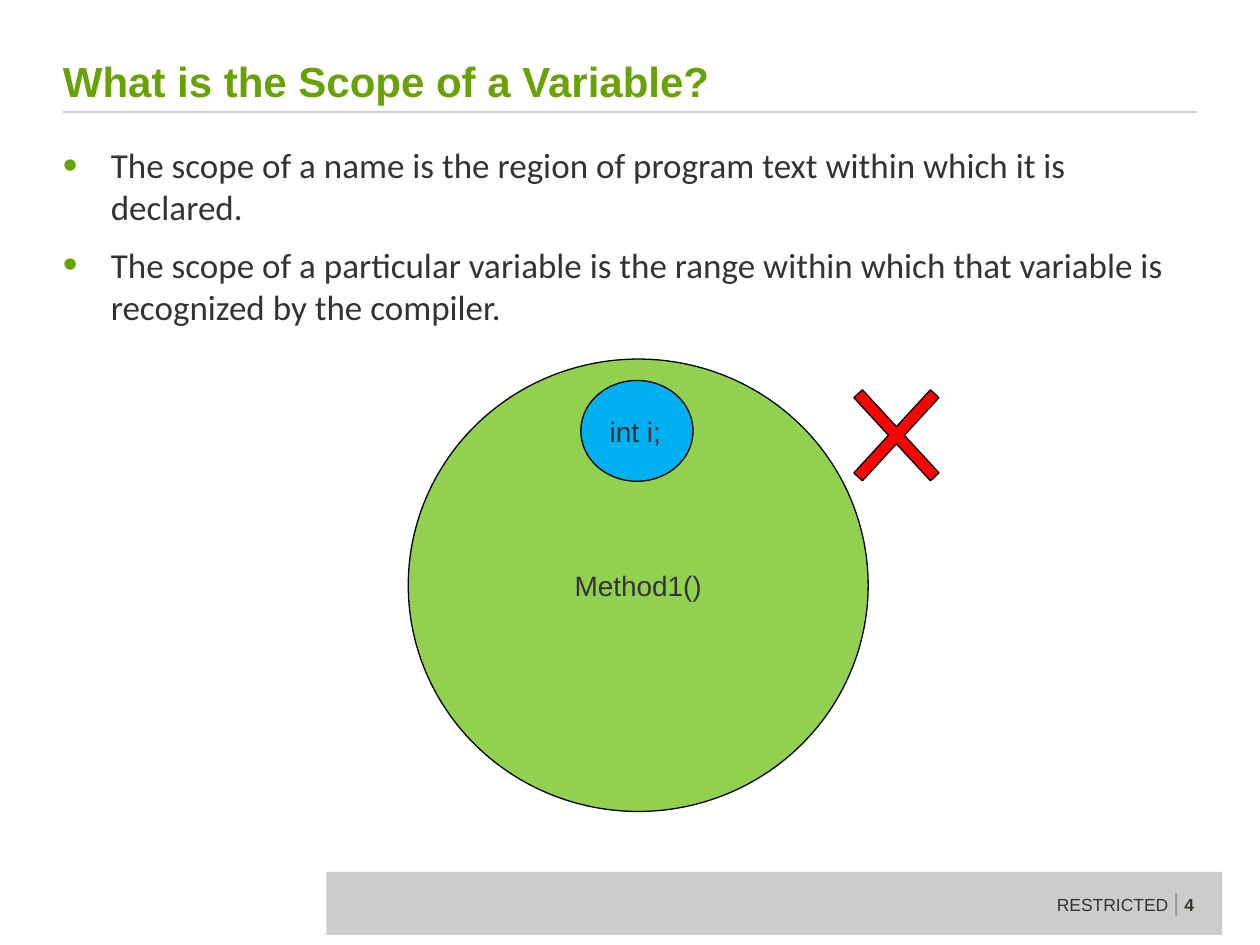
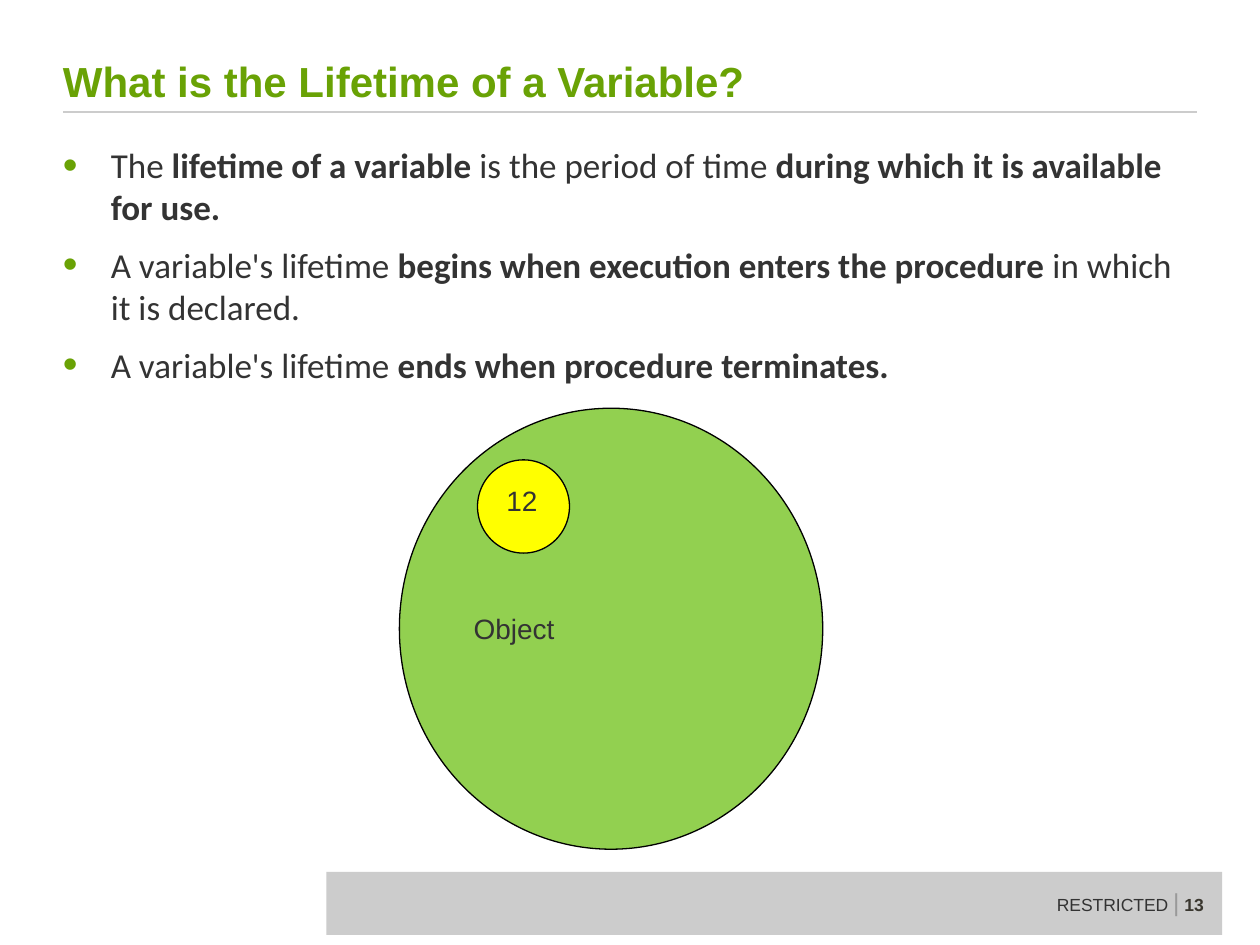
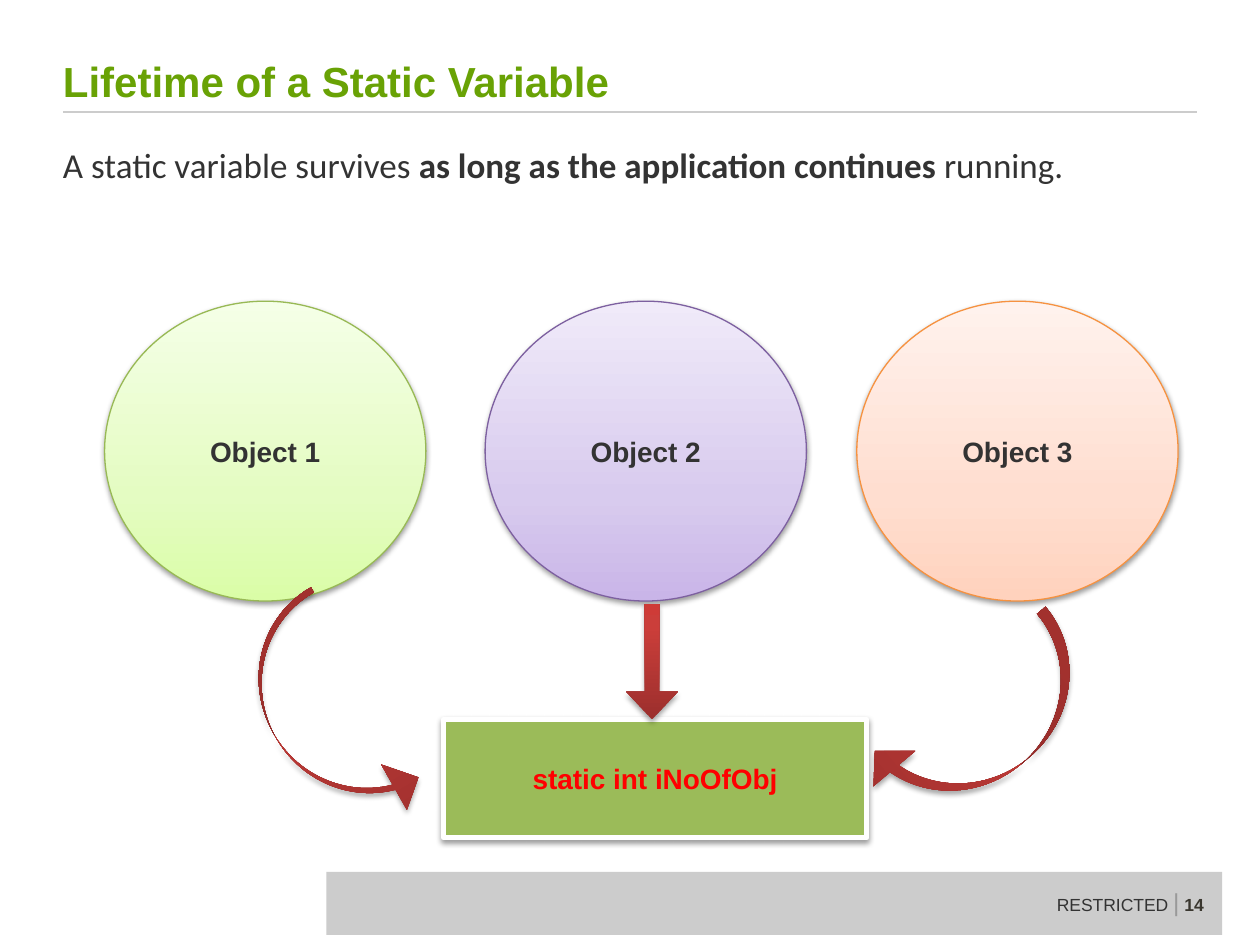
from lxml import etree
from pptx import Presentation
from pptx.dml.color import RGBColor
from pptx.enum.shapes import MSO_CONNECTOR, MSO_SHAPE
from pptx.enum.text import MSO_ANCHOR, PP_ALIGN
from pptx.oxml.ns import qn
from pptx.util import Inches, Pt

LEFT, CENTER = PP_ALIGN.LEFT, PP_ALIGN.CENTER
TOP, MIDDLE, BOTTOM = MSO_ANCHOR.TOP, MSO_ANCHOR.MIDDLE, MSO_ANCHOR.BOTTOM
STRAIGHT = MSO_CONNECTOR.STRAIGHT
ELLIPSE, RECTANGLE = MSO_SHAPE.OVAL, MSO_SHAPE.RECTANGLE
CROSS, DOWN_ARROW = MSO_SHAPE.MATH_MULTIPLY, MSO_SHAPE.DOWN_ARROW
RIGHT_CURVE = MSO_SHAPE.CURVED_RIGHT_ARROW
LEFT_CURVE = MSO_SHAPE.CURVED_LEFT_ARROW

COLORS = {
    "title": "69A205", "text": "333333", "band": "CCCCCC", "divider": "999999",
    "number": "3A372F", "black": "000000", "white": "FFFFFF", "red": "FF0000",
    "scope": "92D050", "variable": "00B0F0", "value": "FFFF00", "static": "9BBB59",
    "green edge": "98B955", "purple edge": "7D60A0", "orange edge": "F69240",
}
GRADIENTS = {
    "green": [(0, "DAFDA7"), (35, "E4FCC2"), (100, "F5FFE7")],
    "purple": [(0, "C9B5E8"), (35, "D8CBEE"), (100, "F0EAF9")],
    "orange": [(0, "FFD2BD"), (35, "FFDED0"), (100, "FFF2ED")],
    "arrow": [(0, "9C2F2D"), (80, "CB3E3A"), (100, "CE3B37")],
}

SCOPE = {
    "number": 4,
    "title": "What is the Scope of a Variable?",
    "bulleted": True,
    "body": [
        [("The scope of a name is the region of program text within which it is declared.", False)],
        [("The scope of a particular variable is the range within which that variable is "
          "recognized by the compiler.", False)],
    ],
}
LIFETIME = {
    "number": 13,
    "title": "What is the Lifetime of a Variable?",
    "bulleted": True,
    "body": [
        [("The ", False), ("lifetime of a variable ", True), ("is the period of time ", False),
         ("during which it is available for use.", True)],
        [("A variable's lifetime ", False),
         ("begins when execution enters the procedure ", True),
         ("in which it is declared.", False)],
        [("A variable's lifetime ", False), ("ends when procedure terminates.", True)],
    ],
}
STATIC = {
    "number": 14,
    "title": "Lifetime of a Static Variable",
    "bulleted": False,
    "body": [
        [("A static variable survives ", False),
         ("as long as the application continues ", True), ("running.", False)],
    ],
}
OBJECTS = [
    ("Object 1", 0.83, "green"),
    ("Object 2", 3.85, "purple"),
    ("Object 3", 6.8, "orange"),
]
ARROWS = [
    (RIGHT_CURVE, (2.17, 4.74, 0.83, 1.94), 330.5, (0.056, 0.5, 0.25)),
    (LEFT_CURVE, (7.39, 4.78, 0.83, 1.99), 49.8, (0.106, 0.523, 0.25)),
    (DOWN_ARROW, (4.97, 4.79, 0.41, 0.92), 0, (0.278, 0.537)),
]


def color(name):
    return RGBColor.from_string(COLORS[name])


def child(parent, tag, **attributes):
    return etree.SubElement(parent, qn(tag), attributes)


def add_span(para, text, size, ink="text", bold=False, font="Arial"):
    span = para.add_run()
    span.text = text
    span.font.name, span.font.size, span.font.bold = font, Pt(size), bold
    span.font.color.rgb = color(ink)


def add_box(page, place, insets=(0.1, 0.05, 0.1, 0.05), anchor=TOP):
    frame = page.shapes.add_textbox(*map(Inches, place)).text_frame
    frame.word_wrap = True
    frame.vertical_anchor = anchor
    (frame.margin_left, frame.margin_top,
     frame.margin_right, frame.margin_bottom) = map(Inches, insets)
    return frame


def add_figure(page, kind, place, fill, edge=None, edge_width=0.75):
    figure = page.shapes.add_shape(kind, *map(Inches, place))
    figure.shadow.inherit = False
    if fill in GRADIENTS:
        figure.fill.gradient()
        figure.fill.gradient_angle = 90
        stops = figure.fill._fill._gradFill.find(qn("a:gsLst"))
        for stop in list(stops):
            stops.remove(stop)
        for percent, tone in GRADIENTS[fill]:
            stop = child(stops, "a:gs", pos=str(percent * 1000))
            child(stop, "a:srgbClr", val=tone)
    else:
        figure.fill.solid()
        figure.fill.fore_color.rgb = color(fill)
    if edge:
        figure.line.color.rgb = color(edge)
        figure.line.width = Pt(edge_width)
    else:
        figure.line.fill.background()
    return figure


def add_label(figure, text, align=CENTER, ink="text", bold=False):
    frame = figure.text_frame
    frame.word_wrap = False
    frame.vertical_anchor = MIDDLE
    para = frame.paragraphs[0]
    para.alignment = align
    add_span(para, text, 16, ink, bold)


def add_shadow(figure, distance=1.6, opacity=38):
    effects = figure._element.spPr.find(qn("a:effectLst"))
    shadow = child(effects, "a:outerShdw", blurRad=str(Pt(3.1)), dist=str(Pt(distance)),
                   dir="5400000", rotWithShape="0")
    tone = child(shadow, "a:srgbClr", val=COLORS["black"])
    child(tone, "a:alpha", val=str(opacity * 1000))


def add_body(page, content):
    frame = add_box(page, (0.5, 1.14, 9, 5.56), (0, 0, 0, 0))
    for index, parts in enumerate(content["body"]):
        para = frame.add_paragraph() if index else frame.paragraphs[0]
        para.space_before, para.space_after = Pt(5), Pt(4)
        for text, bold in parts:
            add_span(para, text, 20, bold=bold, font="Calibri")
        properties = para._p.get_or_add_pPr()
        properties.set("marL", str(Inches(0.38)))
        properties.set("indent", str(Inches(-0.38)))
        if content["bulleted"]:
            child(child(properties, "a:buClr"), "a:srgbClr", val=COLORS["title"])
            child(properties, "a:buSzPct", val="120000")
            child(properties, "a:buFont", typeface="Arial")
            child(properties, "a:buChar", char="•")


def add_page(deck, content):
    page = deck.slides.add_slide(deck.slide_layouts[6])
    rule = page.shapes.add_connector(STRAIGHT, *map(Inches, (0.5, 0.89, 9.5, 0.89)))
    rule.line.color.rgb = color("band")
    rule.line.width = Pt(1.5)
    child(rule._element.spPr, "a:effectLst")

    add_figure(page, RECTANGLE, (2.59, 6.92, 7.11, 0.5), "band")
    footer = add_box(page, (8.29, 6.99, 1.4, 0.34)).paragraphs[0]
    add_span(footer, "RESTRICTED ", 10)
    add_span(footer, "|", 14, "divider")
    add_span(footer, f" {content['number']}", 10, "number", True)

    title = add_box(page, (0.5, 0.02, 9, 0.87), (0, 0, 0, 0.05), BOTTOM)
    add_span(title.paragraphs[0], content["title"], 24, "title", True)
    add_body(page, content)
    return page


def draw_scope(page):
    method = add_figure(page, ELLIPSE, (3.24, 2.85, 3.65, 3.59), "scope", "black")
    add_label(method, "Method1()")
    variable = add_figure(page, ELLIPSE, (4.61, 3.02, 0.89, 0.8), "variable", "black")
    add_label(variable, "int i;", LEFT)
    cross = add_figure(page, CROSS, (6.53, 2.82, 1.17, 1.27), "red", "black")
    cross.adjustments[0] = 0.079


def draw_lifetime(page):
    owner = add_figure(page, ELLIPSE, (3.17, 3.24, 3.36, 3.5), "scope", "black")
    add_label(owner, "Object", LEFT)
    add_figure(page, ELLIPSE, (3.79, 3.65, 0.73, 0.74), "value", "black")
    value = add_box(page, (3.92, 3.79, 0.52, 0.37))
    add_span(value.paragraphs[0], "12", 16)


def draw_static(page):
    for name, left, tone in OBJECTS:
        owner = add_figure(page, ELLIPSE, (left, 2.39, 2.55, 2.38), tone, f"{tone} edge")
        add_label(owner, name, bold=True)
        add_shadow(owner)
    shared = add_figure(page, RECTANGLE, (3.52, 5.71, 3.36, 0.94), "static", "white", 3)
    add_label(shared, "static int iNoOfObj", ink="red", bold=True)
    add_shadow(shared)
    for kind, place, rotation, adjustments in ARROWS:
        arrow = add_figure(page, kind, place, "arrow")
        arrow.rotation = rotation
        for index, value in enumerate(adjustments):
            arrow.adjustments[index] = value
        add_shadow(arrow, 1.8, 35)


def main():
    deck = Presentation()
    deck.slide_width, deck.slide_height = Inches(10), Inches(7.5)
    for content, draw in [(SCOPE, draw_scope), (LIFETIME, draw_lifetime), (STATIC, draw_static)]:
        draw(add_page(deck, content))
    deck.save("out.pptx")


if __name__ == "__main__":
    main()
